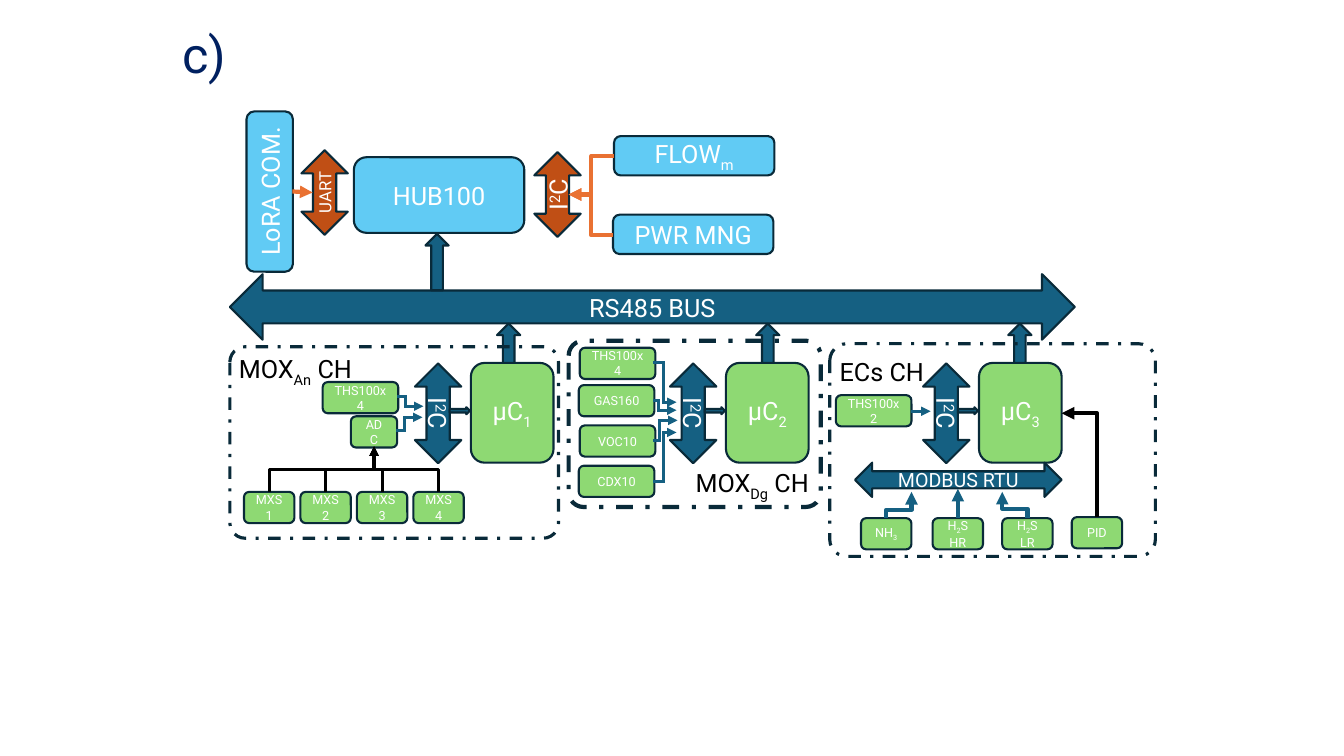
from dataclasses import dataclass
from pptx import Presentation, util as u
from pptx.dml.color import RGBColor
from pptx.enum import dml, shapes, text
from pptx.oxml.ns import qn

SHAPE = shapes.MSO_SHAPE
BASELINES = {"_": "-25000", "^": "30000"}


@dataclass(frozen=True)
class Theme:
    font: str = "Roboto"
    white: str = "FFFFFF"
    black: str = "000000"
    title: str = "002060"
    outline: str = "092A39"
    bus: str = "156082"
    chip: str = "8ED973"
    block: str = "61CBF4"
    serial: str = "C04F15"
    serial_wire: str = "E97132"
    heading: int = 36
    body: int = 18
    modbus: int = 14
    uart: int = 12
    small: int = 9


T = Theme()


@dataclass(frozen=True)
class Node:
    """One shape; in its label, "|" parts runs and a leading _ or ^ lowers or raises one."""
    kind: int
    x: float
    y: float
    w: float
    h: float
    fill: str
    label: str = ""
    size: int = T.body
    rot: int = 0


@dataclass(frozen=True)
class Frame:
    x: float
    y: float
    w: float
    h: float
    radius: float
    width: float


@dataclass(frozen=True)
class Channel:
    number: int
    x: float
    stub_x: float


@dataclass(frozen=True)
class Elbow:
    """A bent arrow; a vertical one leaves upwards, a corner one has a single bend."""
    x1: float
    y1: float
    x2: float
    y2: float
    color: str
    width: float
    vertical: bool = True
    corner: bool = False
    bend: float = 0.5


def inches(value: float) -> u.Length:
    return u.Cm(round(value * 2.54, 3))


def assign(obj, values: dict) -> None:
    for name, value in values.items():
        setattr(obj, name, value)


def write(sp, label: str, size: int, color: str, align=None) -> None:
    p = sp.text_frame.paragraphs[0]
    p.alignment = align
    for part in label.split("|"):
        r = p.add_run()
        r.text = part.lstrip("_^")
        assign(r.font, {"name": T.font, "size": u.Pt(size)})
        r.font.color.rgb = RGBColor.from_string(color)
        if part[0] in BASELINES:
            r.font._element.set("baseline", BASELINES[part[0]])


def draw_node(s, n: Node) -> None:
    sp = s.shapes.add_shape(n.kind, *map(inches, (n.x, n.y, n.w, n.h)))
    sp.shadow.inherit = False
    sp.rotation = n.rot
    sp.fill.solid()
    sp.fill.fore_color.rgb = RGBColor.from_string(n.fill)
    sp.line.color.rgb = RGBColor.from_string(T.outline)
    sp.line.width = u.Pt(1.5)
    assign(sp.text_frame, {"word_wrap": True, "vertical_anchor": text.MSO_ANCHOR.MIDDLE})
    if n.label:
        write(sp, n.label, n.size, T.white, text.PP_ALIGN.CENTER)


def draw_frame(s, f: Frame) -> None:
    sp = s.shapes.add_shape(SHAPE.ROUNDED_RECTANGLE, *map(inches, (f.x, f.y, f.w, f.h)))
    sp.shadow.inherit = False
    sp.adjustments[0] = f.radius
    sp.fill.background()
    sp.line.color.rgb = RGBColor.from_string(T.outline)
    assign(sp.line, {"width": u.Pt(f.width), "dash_style": dml.MSO_LINE.DASH_DOT})


def draw_caption(s, x: float, y: float, w: float, h: float, label: str,
                 size: int = T.body, color: str = T.black) -> None:
    sp = s.shapes.add_textbox(*map(inches, (x, y, w, h)))
    assign(sp.text_frame, {"word_wrap": True,
                           "auto_size": text.MSO_AUTO_SIZE.SHAPE_TO_FIT_TEXT})
    write(sp, label, size, color)


def connect(s, kind, ends: tuple, color: str, width: float, arrow: bool):
    c = s.shapes.add_connector(kind, *map(inches, ends))
    c.line.color.rgb = RGBColor.from_string(color)
    c.line.width = u.Pt(width)
    sp_pr = c._element.spPr
    ln = sp_pr.find(qn("a:ln"))
    ln.set("cap", "flat" if arrow else "sq")
    if arrow:
        ln.append(ln.makeelement(qn("a:tailEnd"), {"type": "triangle"}))
    sp_pr.append(sp_pr.makeelement(qn("a:effectLst"), {}))
    return c


def draw_wire(s, points: list, color: str, width: float) -> None:
    """Straight pieces through the points, with an arrowhead on the last."""
    last = len(points) - 2
    for i, (a, b) in enumerate(zip(points, points[1:])):
        connect(s, shapes.MSO_CONNECTOR.STRAIGHT, a + b, color, width, i == last)


def draw_elbow(s, e: Elbow) -> None:
    ends = (e.x1, e.y1, e.x2, e.y2)
    if e.vertical:  # the box is laid flat about its centre, then turned upwards
        cx, cy = (e.x1 + e.x2) / 2, (e.y1 + e.y2) / 2
        dx, dy = (e.x2 - e.x1) / 2, (e.y1 - e.y2) / 2
        ends = (cx - dy, cy - dx, cx + dy, cy + dx)
    c = connect(s, shapes.MSO_CONNECTOR.ELBOW, ends, e.color, e.width, True)
    sp_pr = c._element.spPr
    if e.vertical:
        sp_pr.find(qn("a:xfrm")).set("rot", "16200000")
    geom = sp_pr.find(qn("a:prstGeom"))
    if e.corner:
        geom.set("prst", "bentConnector2")
    else:
        guides = geom.get_or_add_avLst()
        guides.append(guides.makeelement(
            qn("a:gd"), {"name": "adj1", "fmla": f"val {round(e.bend * 100000)}"}))


def chip(x: float, y: float, label: str, w: float = 0.5) -> Node:
    return Node(SHAPE.ROUNDED_RECTANGLE, x, y, w, 0.31, T.chip, label, T.small)


def block(x: float, y: float, w: float, h: float, label: str, rot: int = 0) -> Node:
    return Node(SHAPE.ROUNDED_RECTANGLE, x, y, w, h, T.block, label, T.body, rot)


def channel_nodes(c: Channel) -> list:
    return [
        Node(SHAPE.ROUNDED_RECTANGLE, c.x, 3.6, 0.82, 0.99, T.chip, f"µC|_{c.number}"),
        Node(SHAPE.LEFT_RIGHT_ARROW, c.x - 0.82, 3.87, 0.99, 0.46, T.bus, "I|^2|C", rot=90),
        Node(SHAPE.DOWN_ARROW, c.stub_x, 3.21, 0.23, 0.39, T.bus, rot=180),
        Node(SHAPE.RIGHT_ARROW, c.x - 0.21, 4.04, 0.2, 0.07, T.bus),
    ]


CHANNELS = [Channel(1, 4.67, 4.93), Channel(2, 7.2, 7.5), Channel(3, 9.71, 10)]
NODES = [
    Node(SHAPE.LEFT_RIGHT_ARROW, 2.28, 2.72, 8.38, 0.65, T.bus, "RS485 BUS"),
    *(n for c in CHANNELS for n in channel_nodes(c)),
    chip(3.48, 4.13, "ADC", 0.46),
    chip(3.2, 3.79, "THS100x4", 0.75),
    chip(5.75, 3.45, "THS100x4", 0.75),
    chip(5.74, 3.82, "GAS160", 0.75),
    chip(5.75, 4.22, "VOC10", 0.75),
    chip(5.74, 4.62, "CDX10", 0.75),
    chip(8.29, 3.92, "THS100x2", 0.75),
    *(chip(2.42 + 0.56 * i, 4.88, f"MXS{i + 1}") for i in range(4)),
    Node(SHAPE.LEFT_RIGHT_ARROW, 8.48, 4.59, 2.05, 0.34, T.bus, "MODBUS RTU", T.modbus),
    chip(8.54, 5.14, "NH|_3"),
    chip(9.25, 5.14, "H|_2|S HR"),
    chip(9.94, 5.14, "H|_2|S LR"),
    chip(10.63, 5.13, "PID"),
    block(3.51, 1.56, 1.69, 0.75, "HUB100"),
    Node(SHAPE.DOWN_ARROW, 4.22, 2.32, 0.23, 0.56, T.bus, rot=180),
    block(6.08, 2.13, 1.59, 0.39, "PWR MNG"),
    block(6.09, 1.35, 1.59, 0.39, "FLOW|_m"),
    Node(SHAPE.LEFT_RIGHT_ARROW, 5.11, 1.7, 0.84, 0.46, T.serial, "I|^2|C", rot=270),
    Node(SHAPE.LEFT_RIGHT_ARROW, 2.8, 1.68, 0.84, 0.46, T.serial, "UART", T.uart, 270),
    block(1.88, 1.67, 1.59, 0.46, "LoRA COM.", 270),
]
FRAMES = [
    Frame(2.28, 3.44, 3.26, 1.9, 0.08, 2.25),
    Frame(5.64, 3.38, 2.5, 1.65, 0.09, 3),
    Frame(8.23, 3.41, 3.23, 2.11, 0.08, 2.25),
]
# Sensor wires: start x, start y, bend x, end x, end y
SENSOR_WIRES = [
    (6.49, 3.6, 6.58, 6.71, 3.99), (6.49, 3.97, 6.53, 6.71, 4.07),
    (6.49, 4.37, 6.54, 6.72, 4.17), (6.49, 4.78, 6.58, 6.71, 4.29),
    (3.95, 3.93, 4.02, 4.2, 4.03), (3.94, 4.27, 4.01, 4.19, 4.14),
]
STRAIGHT_WIRES = [
    ([(9.04, 4.08), (9.23, 4.08)], T.bus, 2.25),
    ([(9.5, 5.14), (9.5, 4.85)], T.bus, 3),
    ([(2.9, 1.9), (3.1, 1.91)], T.serial_wire, 3),
]
ELBOWS = [
    *(Elbow(2.67 + 0.56 * i, 4.88, 3.71, 4.43, T.black, 2.25) for i in range(4)),
    Elbow(8.79, 5.14, 9.04, 4.88, T.bus, 3, bend=0.32),
    Elbow(10.19, 5.14, 9.94, 4.88, T.bus, 3, bend=0.36),
    Elbow(6.08, 2.33, 5.64, 1.93, T.serial_wire, 3, vertical=False),
    Elbow(6.09, 1.55, 5.64, 1.93, T.serial_wire, 3, vertical=False),
    Elbow(10.88, 5.13, 10.53, 4.1, T.black, 3, corner=True),
]


def main() -> None:
    prs = Presentation()
    assign(prs, {"slide_width": inches(13.33), "slide_height": inches(7.5)})
    s = prs.slides.add_slide(prs.slide_layouts[6])
    for n in NODES:
        draw_node(s, n)
    for f in FRAMES:
        draw_frame(s, f)
    for x1, y1, bend, x2, y2 in SENSOR_WIRES:
        draw_wire(s, [(x1, y1), (bend, y1), (bend, y2), (x2, y2)], T.bus, 2.25)
    for wire in STRAIGHT_WIRES:
        draw_wire(s, *wire)
    for e in ELBOWS:
        draw_elbow(s, e)
    draw_caption(s, 2.27, 3.46, 1.42, 0.4, "MOX|_An| CH")
    draw_caption(s, 6.8, 4.59, 1.42, 0.4, "MOX|_Dg| CH")
    draw_caption(s, 8.23, 3.49, 1.57, 0.4, "ECs CH")
    draw_caption(s, 1.71, 0.18, 0.71, 0.71, "c)", T.heading, T.title)
    prs.save("out.pptx")


if __name__ == "__main__":
    main()
